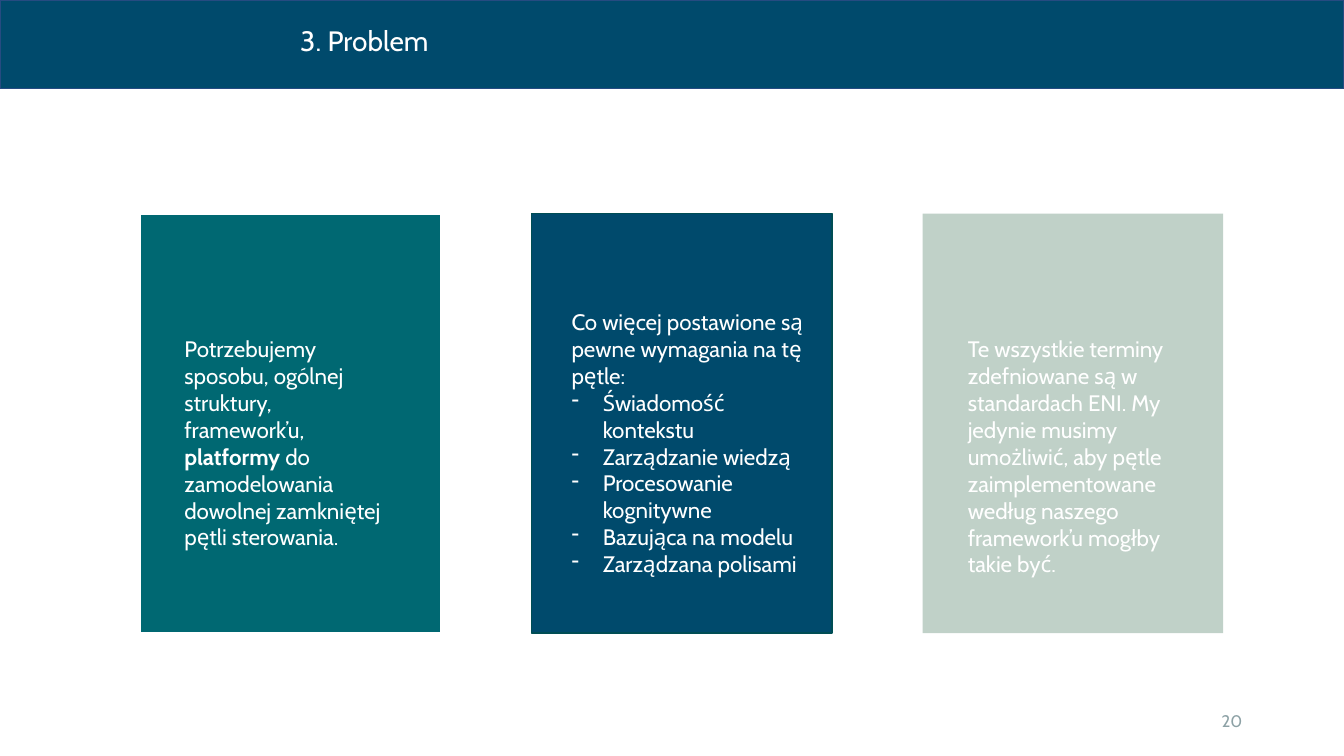
from lxml import etree
from pptx import Presentation, util as u
from pptx.dml.color import RGBColor
from pptx.enum import shapes, text
from pptx.oxml.ns import qn

COLORS = {
    "teal": "006872", "navy": "004A6C", "sage": "C0D1C8", "white": "FFFFFF",
    "pine": "004D54", "royal": "264B81", "gray": "8CA1A5",
}


class Deck:
    """Style and current slide; lengths are percentages of the slide's size."""
    font = "Cabin"
    indent = u.Inches(0.31)

    def __init__(self):
        self.prs = Presentation()
        self.prs.slide_width, self.prs.slide_height = u.Inches(13.33), u.Inches(7.5)
        self.s = self.prs.slides.add_slide(self.prs.slide_layouts[6])

    def area(self, x, y, w, h):
        sw, sh = self.prs.slide_width, self.prs.slide_height
        return [round(v * side / 100) for v, side in zip((x, y, w, h), (sw, sh, sw, sh))]

    def color(self, name):
        return RGBColor.from_string(COLORS[name])

    def rect(self, box, fill, line=None, width=1):
        sp = self.s.shapes.add_shape(shapes.MSO_SHAPE.RECTANGLE, *self.area(*box))
        sp.shadow.inherit = False
        sp.fill.solid()
        sp.fill.fore_color.rgb = self.color(fill)
        if line:
            sp.line.color.rgb = self.color(line)
            sp.line.width = u.Pt(width)
        else:
            sp.line.fill.background()

    def dash(self, p):
        pPr = p._p.get_or_add_pPr()
        pPr.set("marL", str(self.indent))
        pPr.set("indent", str(-self.indent))
        etree.SubElement(pPr, qn("a:buChar")).set("char", "-")

    def text(self, box, paragraphs, size=16, color="white", align=text.PP_ALIGN.LEFT,
             anchor=text.MSO_ANCHOR.TOP):
        """Each paragraph is a list of runs: **run** is bold, a leading "- " makes a bullet."""
        tf = self.s.shapes.add_textbox(*self.area(*box)).text_frame
        tf.word_wrap = True
        tf.vertical_anchor = anchor
        for i, runs in enumerate(paragraphs):
            p = tf.paragraphs[0] if i == 0 else tf.add_paragraph()
            p.alignment = align
            if runs[0].startswith("- "):
                self.dash(p)
            for run in runs:
                r = p.add_run()
                r.text = run.removeprefix("- ").replace("**", "")
                style = {"name": self.font, "size": u.Pt(size), "bold": run.startswith("**")}
                for key, value in style.items():
                    setattr(r.font, key, value)
                r.font.color.rgb = self.color(color)


def main():
    deck = Deck()

    card_styles = [("teal", "white", 1.5), ("navy", "pine"), ("sage",)]
    for col, style in enumerate(card_styles):
        deck.rect((10.43 + 29.11 * col, 28.27, 22.36, 55.47), *style)

    deck.text((12.98, 43.73, 17.1, 30.13), [
        ["Potrzebujemy sposobu, ogólnej struktury, framework’u,"],
        ["**platformy** ", "do zamodelowania dowolnej zamkniętej pętli sterowania."],
    ])
    deck.text((41.79, 40.13, 18.83, 37.2), [
        ["Co więcej postawione są pewne wymagania na tę pętle:"],
        ["- Świadomość kontekstu"],
        ["- Zarządzanie wiedzą"],
        ["- Procesowanie kognitywne"],
        ["- Bazująca na modelu"],
        ["- Zarządzana polisami"],
    ])
    deck.text((71.27, 43.73, 17.1, 33.6), [
        ["Te wszystkie terminy zdefniowane są w standardach ENI. My jedynie musimy "
         "umożliwić, aby pętle zaimplementowane według naszego framework’u mogłby takie być."],
    ])

    deck.rect((0, 0, 100, 11.73), "navy", "royal")
    deck.text((21.6, 2.4, 46.74, 5.87), [["3. Problem"]], size=20)
    deck.text((70.67, 92.67, 22.51, 5.33), [["20"]], size=12, color="gray",
              align=text.PP_ALIGN.RIGHT, anchor=text.MSO_ANCHOR.MIDDLE)

    deck.prs.save("out.pptx")


if __name__ == "__main__":
    main()
